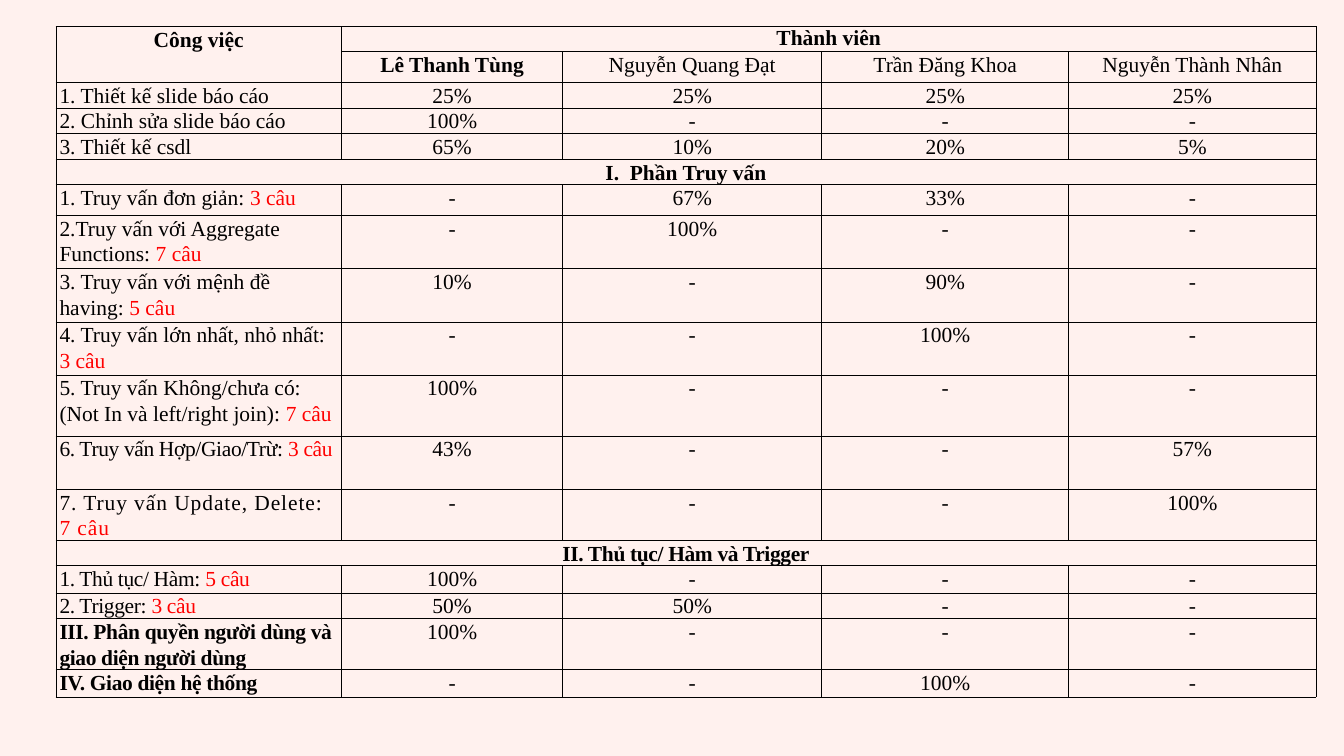
from lxml.etree import SubElement
from pptx import Presentation
from pptx.dml.color import RGBColor
from pptx.enum.text import PP_ALIGN
from pptx.oxml.ns import qn
from pptx.util import Pt

SCALE = 9525
BACKGROUND = RGBColor(0xFF, 0xF1, 0xEE)
BLACK = RGBColor(0, 0, 0)
RED = RGBColor(0xFF, 0, 0)

COLUMN_WIDTHS = [408, 316, 370, 353, 353]
MEMBERS = ["Lê Thanh Tùng", "Nguyễn Quang Đạt", "Trần Đăng Khoa", "Nguyễn Thành Nhân"]
HEADER_HEIGHTS = [36, 44]

GENERAL_TASKS = [
    (36, "1. Thiết kế slide báo cáo", "", "25% 25% 25% 25%", 0),
    (36, "2. Chỉnh sửa slide báo cáo", "", "100% - - -", 0),
    (36, "3. Thiết kế csdl", "", "65% 10% 20% 5%", 0),
]
QUERY_TASKS = [
    (44, "1. Truy vấn đơn giản: ", "3 câu", "- 67% 33% -", 0),
    (76, "2.Truy vấn với Aggregate Functions: ", "7 câu", "- 100% - -", 0),
    (76, "3. Truy vấn với mệnh đề having: ", "5 câu", "10% - 90% -", 0),
    (76, "4. Truy vấn lớn nhất, nhỏ nhất: ", "3 câu", "- - 100% -", 0),
    (87, "5. Truy vấn Không/chưa có: (Not In và left/right join): ", "7 câu", "100% - - -", 0),
    (76, "6. Truy vấn Hợp/Giao/Trừ: ", "3 câu", "43% - - 57%", -0.4),
    (41, "7. Truy vấn Update, Delete: ", "7 câu", "- - - 100%", 1),
]
PROCEDURE_TASKS = [
    (39, "1. Thủ tục/ Hàm: ", "5 câu", "100% - - -", -0.4),
    (36, "2. Trigger: ", "3 câu", "50% 50% - -", -0.4),
]
CLOSING_TASKS = [
    (37, "III. Phân quyền người dùng và giao diện người dùng", "", "100% - - -", -0.4),
    (39, "IV. Giao diện hệ thống", "", "- - 100% -", -0.4),
]
GROUPS = [
    (None, 0, GENERAL_TASKS, PP_ALIGN.JUSTIFY, False),
    ("I.  Phần Truy vấn", 0, QUERY_TASKS, PP_ALIGN.LEFT, False),
    ("II. Thủ tục/ Hàm và Trigger", -0.4, PROCEDURE_TASKS, PP_ALIGN.LEFT, False),
    (None, 0, CLOSING_TASKS, PP_ALIGN.LEFT, True),
]
SECTION_HEIGHT = 36


class SlideBuilder:
    """Holds the text style and the current page, and adds elements to it."""

    def __init__(self, page, font="Times New Roman", size=23):
        self.page = page
        self.font = font
        self.size = size

    def background(self, color):
        fill = self.page.background.fill
        fill.solid()
        fill.fore_color.rgb = color

    def table(self, left, top, widths, heights):
        frame = self.page.shapes.add_table(
            len(heights), len(widths), left * SCALE, top * SCALE,
            sum(widths) * SCALE, sum(heights) * SCALE)
        table = frame.table
        table.first_row = False
        table.horz_banding = False
        for column, width in zip(table.columns, widths):
            column.width = width * SCALE
        for row, height in zip(table.rows, heights):
            row.height = height * SCALE
            for cell in row.cells:
                self.frame_cell(cell)
        return table

    def frame_cell(self, cell):
        cell.margin_left = cell.margin_right = 5 * SCALE
        cell.margin_top = cell.margin_bottom = 0
        properties = cell._tc.get_or_add_tcPr()
        for side in ("a:lnL", "a:lnR", "a:lnT", "a:lnB"):
            line = SubElement(properties, qn(side), w=str(Pt(1)))
            fill = SubElement(line, qn("a:solidFill"))
            SubElement(fill, qn("a:srgbClr"), val=str(BLACK))
        cell.fill.background()

    def cell_text(self, cell, text, count="", align=PP_ALIGN.CENTER, bold=False,
                  spacing=0, line_spacing=1.07, space_after=8):
        paragraph = cell.text_frame.paragraphs[0]
        paragraph.alignment = align
        paragraph.line_spacing = line_spacing
        paragraph.space_after = Pt(space_after)
        for words, color in ((text, BLACK), (count, RED)):
            if words:
                span = paragraph.add_run()
                span.text = words
                span.font.name = self.font
                span.font.size = Pt(self.size)
                span.font.bold = bold
                span.font.color.rgb = color
                if spacing:
                    span._r.get_or_add_rPr().set("spc", str(round(spacing * 100)))

    def header(self, table):
        table.cell(0, 0).merge(table.cell(1, 0))
        table.cell(0, 1).merge(table.cell(0, 4))
        self.cell_text(table.cell(0, 0), "Công việc", bold=True)
        self.cell_text(table.cell(0, 1), "Thành viên", bold=True, line_spacing=1, space_after=0)
        for column, member in enumerate(MEMBERS, 1):
            self.cell_text(table.cell(1, column), member, bold=column == 1)

    def section(self, table, row, title, spacing):
        table.cell(row, 0).merge(table.cell(row, len(MEMBERS)))
        self.cell_text(table.cell(row, 0), title, bold=True, spacing=spacing)

    def task(self, table, row, task, align, bold):
        _, label, count, shares, spacing = task
        self.cell_text(table.cell(row, 0), label, count, align, bold, spacing)
        for column, share in enumerate(shares.split(), 1):
            self.cell_text(table.cell(row, column), share)


def main():
    deck = Presentation()
    deck.slide_width = 1920 * SCALE
    deck.slide_height = 1080 * SCALE
    builder = SlideBuilder(deck.slides.add_slide(deck.slide_layouts[6]))
    builder.background(BACKGROUND)

    heights = list(HEADER_HEIGHTS)
    for title, _, tasks, _, _ in GROUPS:
        heights += [SECTION_HEIGHT] if title else []
        heights += [task[0] for task in tasks]
    table = builder.table(80, 38, COLUMN_WIDTHS, heights)
    builder.header(table)

    row = len(HEADER_HEIGHTS)
    for title, spacing, tasks, align, bold in GROUPS:
        if title:
            builder.section(table, row, title, spacing)
            row += 1
        for task in tasks:
            builder.task(table, row, task, align, bold)
            row += 1

    deck.save("out.pptx")


if __name__ == "__main__":
    main()
